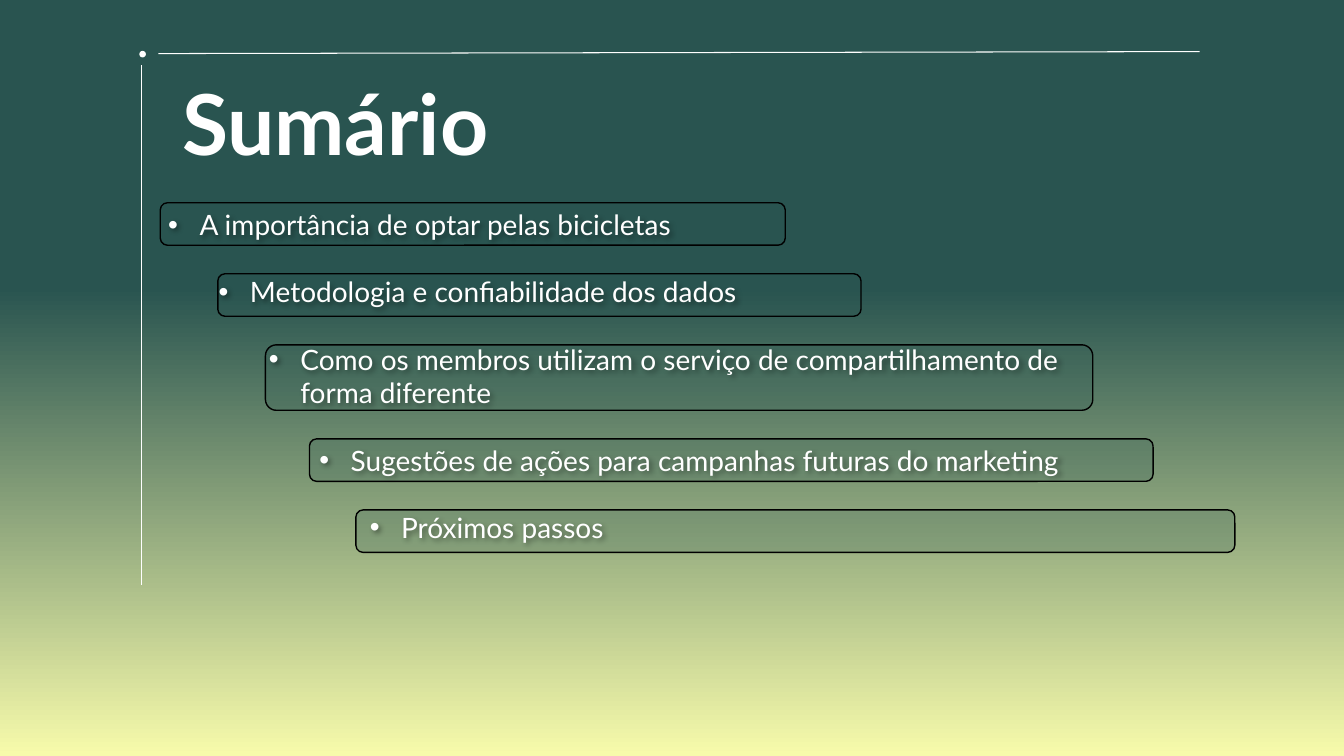
from dataclasses import dataclass

from lxml import etree
from pptx import Presentation
from pptx import util as u
from pptx.dml.color import RGBColor
from pptx.enum import shapes, text
from pptx.oxml import ns


@dataclass(frozen=True)
class Theme:
    font: str = "Lato"
    bullet_font: str = "Arial"
    title_size: int = 60
    body_size: int = 20
    item_gap: int = 24
    green: RGBColor = RGBColor(0x29, 0x54, 0x50)
    yellow: RGBColor = RGBColor(0xF7, 0xFB, 0xAB)
    white: RGBColor = RGBColor(0xFF, 0xFF, 0xFF)
    black: RGBColor = RGBColor(0, 0, 0)


@dataclass(frozen=True)
class Box:
    left: float
    top: float
    width: float
    height: float

    def lengths(self):
        return [u.Cm(side) for side in (self.left, self.top, self.width, self.height)]


THEME = Theme()
TOPICS = [
    "A importância de optar pelas bicicletas",
    "Metodologia e confiabilidade dos dados",
    "Como os membros utilizam o serviço de compartilhamento de forma diferente",
    "Sugestões de ações para campanhas futuras do marketing",
    "Próximos passos",
]
FRAMES = [(0.05, 15.75, 1.07), (1.5, 16.21, 1.07), (2.7, 20.85, 1.65),
          (3.81, 21.26, 1.07), (4.98, 22.15, 1.07)]
FRAME_GAP = 0.72


def add_node(parent, tag, **attributes):
    return etree.SubElement(parent, ns.qn(tag), attributes)


def style_font(font, size, bold=False):
    font.name = THEME.font
    font.size = u.Pt(size)
    font.bold = bold
    font.color.rgb = THEME.white


def add_backdrop(page, box):
    backdrop = page.shapes.add_shape(shapes.MSO_SHAPE.RECTANGLE, *box.lengths())
    backdrop.shadow.inherit = False
    backdrop.line.fill.background()
    backdrop.fill.gradient()
    backdrop.fill.gradient_angle = 270
    stops = zip(backdrop.fill.gradient_stops, (0.38, 1), (THEME.green, THEME.yellow))
    for stop, position, color in stops:
        stop.position = position
        stop.color.rgb = color
    page.shapes.title.element.addprevious(backdrop.element)


def add_title(page, box, wording):
    title = page.shapes.title
    title.left, title.top, title.width, title.height = box.lengths()
    title.text_frame.text = wording
    title.text_frame.auto_size = text.MSO_AUTO_SIZE.NONE
    para = title.text_frame.paragraphs[0]
    para.alignment = text.PP_ALIGN.CENTER
    style_font(para.font, THEME.title_size, bold=True)


def add_frames(page, box):
    top = box.top
    for offset, width, height in FRAMES:
        area = Box(box.left + offset, top, width, height)
        frame = page.shapes.add_shape(shapes.MSO_SHAPE.ROUNDED_RECTANGLE, *area.lengths())
        frame.shadow.inherit = False
        frame.fill.solid()
        frame.fill.fore_color.rgb = THEME.green
        color = frame.element.spPr.find(ns.qn("a:solidFill"))[0]
        add_node(color, "a:alpha", val="20000")
        frame.line.color.rgb = THEME.black
        frame.line.width = u.Pt(1)
        top += height + FRAME_GAP


def add_text_shadow(shape):
    effects = add_node(shape.element.spPr, "a:effectLst")
    shadow = add_node(effects, "a:outerShdw", blurRad="50800", dist="38100",
                      dir="2700000", algn="tl", rotWithShape="0")
    color = add_node(shadow, "a:prstClr", val="black")
    add_node(color, "a:alpha", val="40000")


def add_topics(page, box):
    topics = page.shapes.add_textbox(*box.lengths())
    topics.text_frame.word_wrap = True
    for level, wording in enumerate(TOPICS):
        para = topics.text_frame.paragraphs[0] if level == 0 else topics.text_frame.add_paragraph()
        para.text = wording
        para.level = level
        para.space_before = u.Pt(THEME.item_gap if level else 0)
        properties = para._p.get_or_add_pPr()
        properties.set("marL", str(u.Cm(0.79 + 1.27 * level)))
        properties.set("indent", str(-u.Cm(0.79)))
        add_node(properties, "a:buFont", typeface=THEME.bullet_font)
        add_node(properties, "a:buChar", char="•")
        style_font(para.font, THEME.body_size)
    add_text_shadow(topics)


def add_corner_lines(page, box):
    right, bottom = box.left + box.width, box.top + box.height
    ends = [(box.left, box.top + 0.35, box.left, bottom),
            (box.left + 0.43, box.top + 0.05, right, box.top)]
    for points in ends:
        rule = page.shapes.add_connector(
            shapes.MSO_CONNECTOR.STRAIGHT, *[u.Cm(point) for point in points])
        rule.line.color.rgb = THEME.white
        rule.line.width = u.Pt(0.75)
        add_node(rule.element.spPr, "a:effectLst")
    area = Box(box.left - 0.03, box.top, 0.13, 0.13)
    dot = page.shapes.add_shape(shapes.MSO_SHAPE.OVAL, *area.lengths())
    dot.shadow.inherit = False
    dot.fill.solid()
    dot.fill.fore_color.rgb = THEME.white
    dot.line.color.rgb = THEME.white
    dot.line.width = u.Pt(1)


def add_summary_page(deck, box):
    page = deck.slides.add_slide(deck.slide_layouts[5])
    add_backdrop(page, box)
    add_title(page, Box(box.left + 3.99, box.top + 1.65, 8.92, 2.82), "Sumário")
    content = Box(box.left + 3.99, box.top + 5.11, 24.38, 8.81)
    add_frames(page, content)
    add_topics(page, content)
    add_corner_lines(page, Box(box.left + 3.56, box.top + 1.3, 26.67, 13.43))


def main():
    deck = Presentation()
    deck.slide_width = u.Cm(33.87)
    deck.slide_height = u.Cm(19.05)
    add_summary_page(deck, Box(0, 0, 33.87, 19.05))
    deck.save("out.pptx")


if __name__ == "__main__":
    main()
